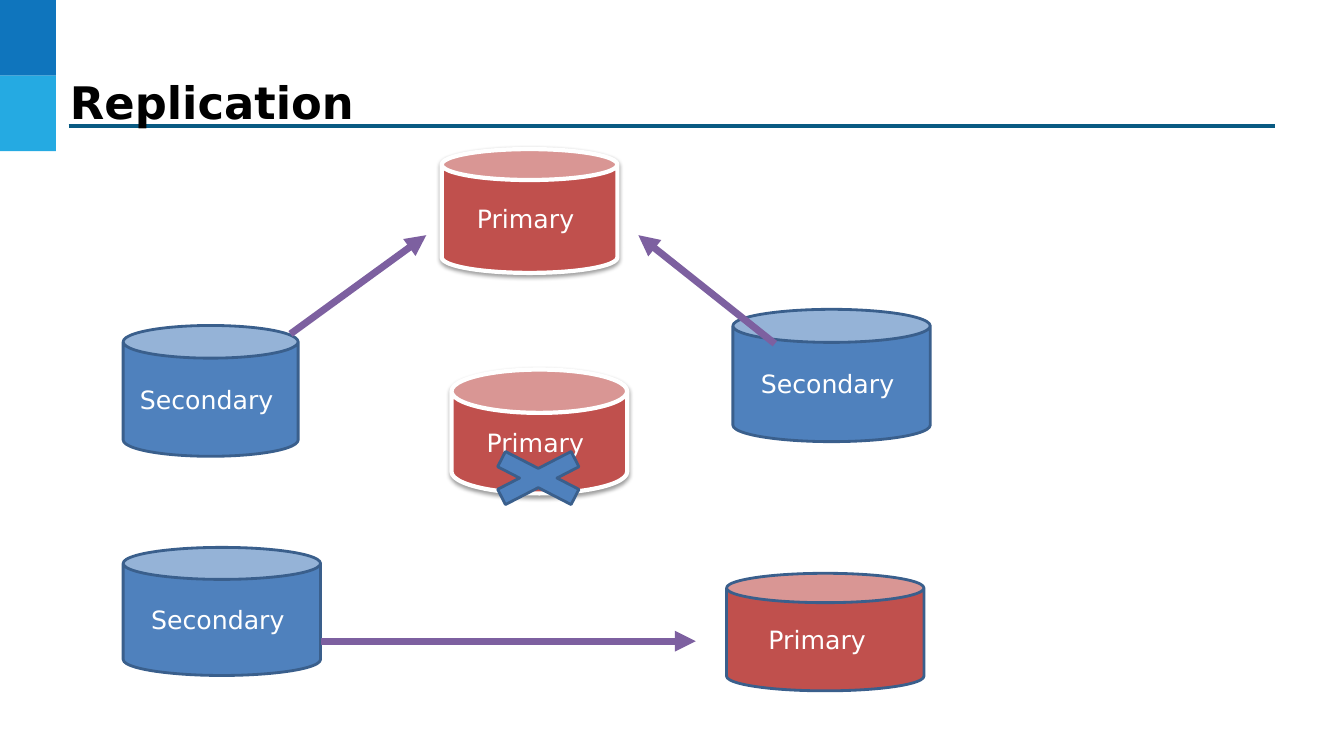
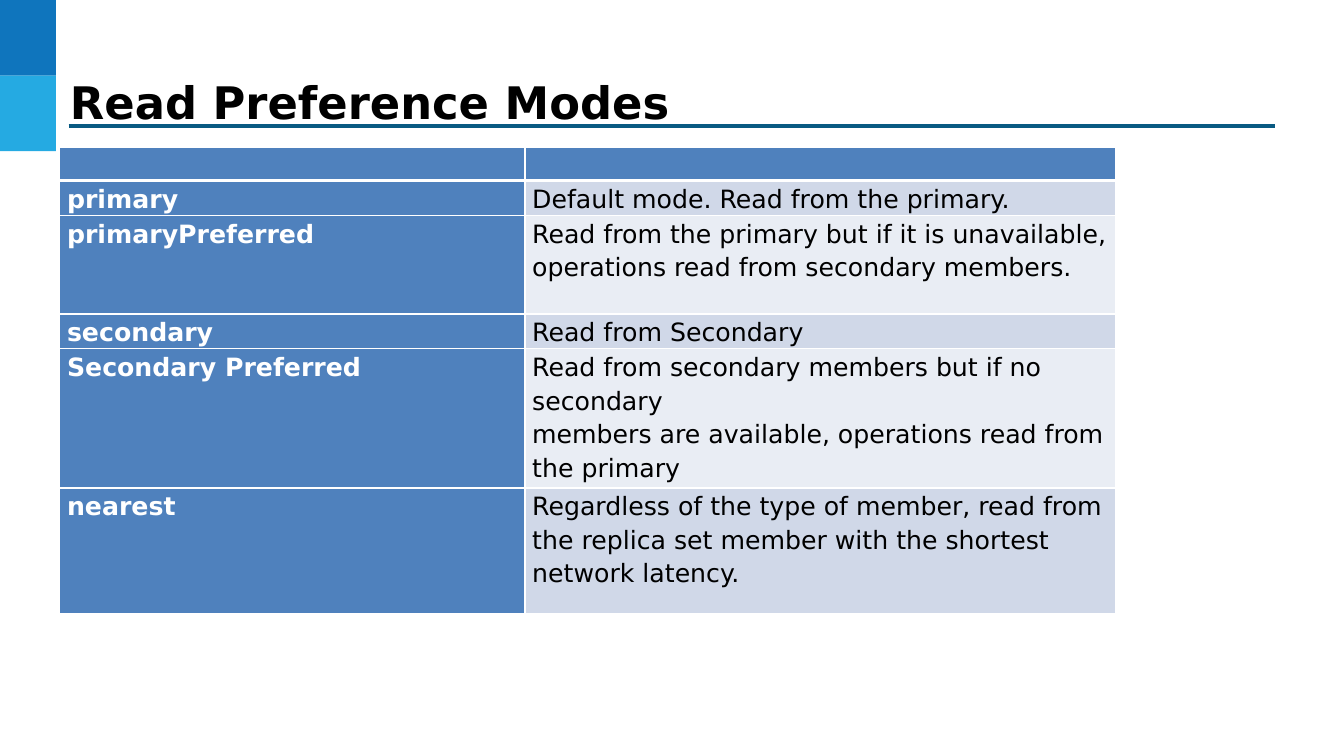
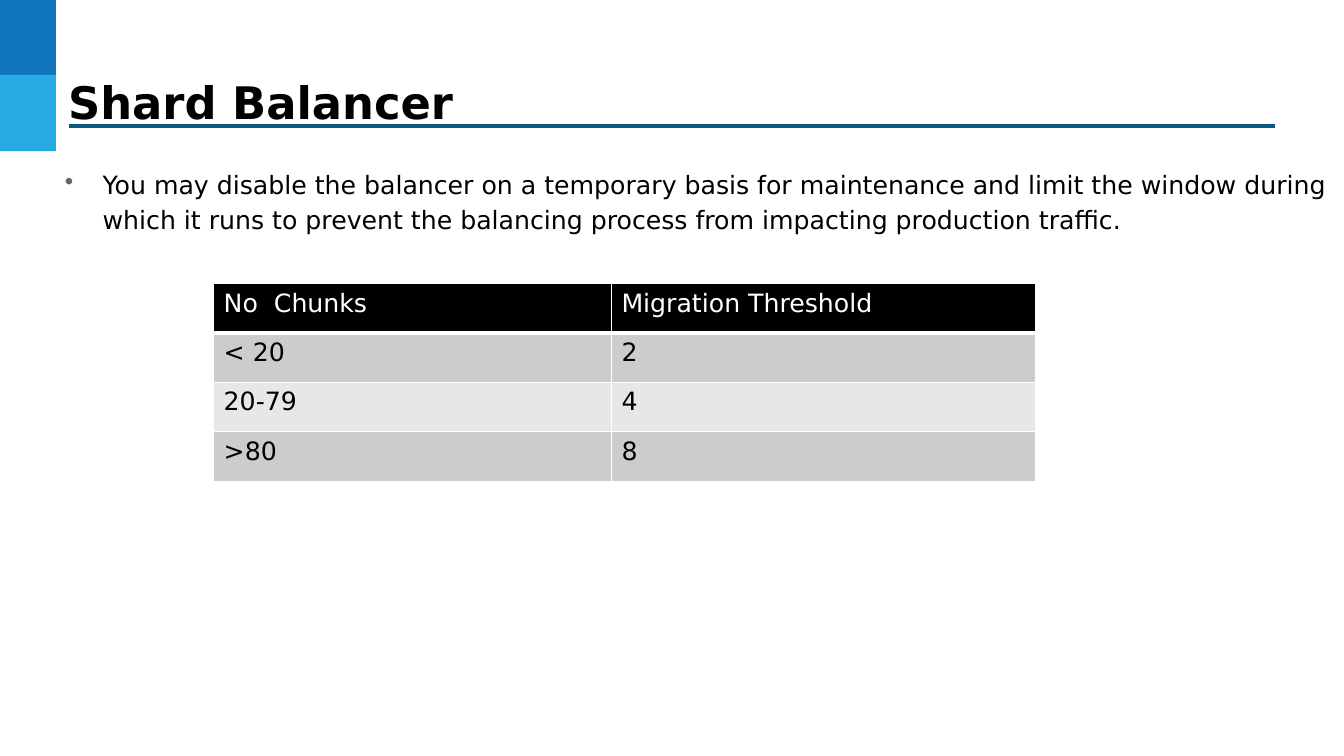
from lxml.etree import SubElement
from pptx import Presentation
from pptx.dml.color import RGBColor
from pptx.enum.shapes import MSO_CONNECTOR as Link, MSO_SHAPE as Shape
from pptx.enum.text import MSO_ANCHOR as Anchor, MSO_AUTO_SIZE as AutoSize, PP_ALIGN as Align
from pptx.oxml import parse_xml
from pptx.oxml.ns import nsdecls, qn
from pptx.util import Pt

FONT = "DejaVu Sans"
BLACK = RGBColor(0x00, 0x00, 0x00)
WHITE = RGBColor(0xFF, 0xFF, 0xFF)
DEEP_BLUE = RGBColor(0x0F, 0x75, 0xBD)
SKY = RGBColor(0x25, 0xAA, 0xE2)
RULE = RGBColor(0x09, 0x5A, 0x82)
BLUE = RGBColor(0x4F, 0x81, 0xBD)
NAVY = RGBColor(0x3A, 0x5F, 0x8C)
RED = RGBColor(0xC0, 0x50, 0x4D)
PURPLE = RGBColor(0x7D, 0x60, 0xA0)
BLUE_BANDS = (RGBColor(0xD0, 0xD8, 0xE8), RGBColor(0xE9, 0xED, 0xF4))
GREY_BANDS = (RGBColor(0xCC, 0xCC, 0xCC), RGBColor(0xE7, 0xE7, 0xE7))

# Replication: label, box, fill, raised look, rim depth, extra right inset
NODES = [
    ("Primary ", (315.5, 106.5, 125.5, 88.5), RED, True, 0.25, 0),
    ("Secondary ", (88, 232.5, 125, 93.5), BLUE, False, 0.25, 0),
    ("Secondary ", (523.5, 221, 141, 94.5), BLUE, False, 0.25, 0),
    ("Primary ", (322.5, 264, 125.5, 88.5), RED, True, 0.35, 0),
    ("Secondary ", (88, 391, 141, 91.5), BLUE, False, 0.25, 0),
    ("Primary ", (519, 409.5, 141, 84), RED, False, 0.25, 5.7),
]
FAILURE_CROSS = (334, 315.5, 101, 52)
ARROWS = [
    (207.5, 238.5, 304.5, 168),
    (553.5, 245.5, 456, 168),
    (229, 458, 497, 458),
]

# Read preference modes
MODES = [
    ("", ""),
    ("primary", "Default mode. Read from the primary."),
    ("primaryPreferred", "Read from the primary but if it is unavailable, "
     "operations read from secondary members."),
    ("secondary", "Read from Secondary"),
    ("Secondary Preferred", "Read from secondary members but if no secondary\n"
     "members are available, operations read from the primary"),
    ("nearest", "Regardless of the type of member, read from the replica set "
     "member with the shortest network latency."),
]
MODE_HEIGHTS = [23.8, 23.8, 70.5, 23.8, 93.6, 90]

# Shard balancer
BALANCER_NOTE = ("You may disable the balancer on a temporary basis for maintenance "
                 "and limit the window during which it runs to prevent the balancing "
                 "process from impacting production traffic.")
THRESHOLDS = [("No  Chunks", "Migration Threshold"), ("< 20", "2"), ("20-79", "4"), (">80", "8")]


def points(values):
    return [Pt(value) for value in values]


def add_text(para, text, color, size=18, bold=False):
    span = para.add_run()
    span.text = text
    font = span.font
    font.name, font.size, font.bold = FONT, Pt(size), bold
    font.color.rgb = color


def set_insets(target, left, top, right, bottom):
    target.margin_left, target.margin_top = Pt(left), Pt(top)
    target.margin_right, target.margin_bottom = Pt(right), Pt(bottom)


def add_box(page, kind, at, fill, line=None, width=2):
    box = page.shapes.add_shape(kind, *points(at))
    box.shadow.inherit = False
    box.fill.solid()
    box.fill.fore_color.rgb = fill
    if line is None:
        box.line.fill.background()
    else:
        box.line.color.rgb = line
        box.line.width = Pt(width)
    return box


def add_line(page, ends, color, width, arrow=False):
    line = page.shapes.add_connector(Link.STRAIGHT, *points(ends))
    line.line.color.rgb = color
    line.line.width = Pt(width)
    if arrow:
        SubElement(line.line._get_or_add_ln(), qn("a:tailEnd"), type="triangle")
    SubElement(line._element.spPr, qn("a:effectLst"))


def add_text_box(page, at):
    box = page.shapes.add_textbox(*points(at))
    box.text_frame.word_wrap = True
    return box.text_frame


def add_page(deck, title, left=40.5):
    page = deck.slides.add_slide(deck.slide_layouts[6])
    for row, color in enumerate((DEEP_BLUE, SKY)):
        add_box(page, Shape.RECTANGLE, (0, row * 54, 40, 54), color)
    add_line(page, (49, 90, 911, 90), RULE, 2.25)
    frame = add_text_box(page, (left, 24.5, 782, 55.5))
    set_insets(frame, 9.4, 9.4, 9.4, 9.4)
    para = frame.paragraphs[0]
    para.line_spacing = 1.5
    add_text(para, title, BLACK, 32, True)
    return page


def add_node(page, label, at, fill, raised, rim, nudge):
    line, width = (WHITE, 3) if raised else (NAVY, 2)
    can = add_box(page, Shape.CAN, at, fill, line, width)
    can.adjustments[0] = rim
    if raised:
        effects = can._element.spPr.find(qn("a:effectLst"))
        effects.append(parse_xml(
            f'<a:outerShdw {nsdecls("a")} blurRad="{Pt(3.1)}" dist="{Pt(1.6)}" '
            'dir="5400000" rotWithShape="0"><a:srgbClr val="000000">'
            '<a:alpha val="38000"/></a:srgbClr></a:outerShdw>'))
    frame = can.text_frame
    frame.word_wrap = True
    frame.vertical_anchor = Anchor.MIDDLE
    set_insets(frame, 7.2, 3.6, 7.2 + nudge, 3.6)
    para = frame.paragraphs[0]
    para.alignment = Align.CENTER
    add_text(para, label, WHITE)


def set_borders(cell, bottom):
    props = cell._tc.get_or_add_tcPr()
    sides = (("L", 1), ("R", 1), ("T", 1), ("B", bottom))
    for place, (side, width) in enumerate(sides):
        props.insert(place, parse_xml(
            f'<a:ln{side} {nsdecls("a")} w="{Pt(width)}"><a:solidFill>'
            f'<a:srgbClr val="{WHITE}"/></a:solidFill></a:ln{side}>'))


def add_grid(page, rows, left, top, widths, heights, head, bands,
             head_column=False, insets=(7.2, 3.6, 7.2, 3.6), spacing=None):
    frame = page.shapes.add_table(len(rows), len(widths),
                                  *points((left, top, sum(widths), sum(heights))))
    table = frame.table
    for column, width in zip(table.columns, widths):
        column.width = Pt(width)
    for r, (texts, height) in enumerate(zip(rows, heights)):
        table.rows[r].height = Pt(height)
        for c, text in enumerate(texts):
            cell = table.cell(r, c)
            side_head = head_column and c == 0
            is_head = r == 0 or side_head
            cell.fill.solid()
            cell.fill.fore_color.rgb = head if is_head else bands[(r - 1) % 2]
            set_borders(cell, 3 if r == 0 else 1)
            set_insets(cell, *insets)
            for number, words in enumerate(text.split("\n") if text else []):
                body = cell.text_frame
                para = body.add_paragraph() if number else body.paragraphs[0]
                para.line_spacing = spacing
                add_text(para, words, WHITE if is_head else BLACK, bold=side_head)


def build_replication(deck):
    page = add_page(deck, "Replication")
    for number, node in enumerate(NODES):
        add_node(page, *node)
        if number == 3:  # the failed primary
            add_box(page, Shape.MATH_MULTIPLY, FAILURE_CROSS, BLUE, NAVY)
    for ends in ARROWS:
        add_line(page, ends, PURPLE, 5, arrow=True)


def build_modes(deck):
    page = add_page(deck, "Read Preference Modes")
    add_grid(page, MODES, 42.7, 105.2, (332.3, 422), MODE_HEIGHTS, BLUE, BLUE_BANDS,
             head_column=True, insets=(5.2, 0, 5.2, 0), spacing=1.15)


def build_balancer(deck):
    page = add_page(deck, "Shard Balancer", left=39.2)
    frame = add_text_box(page, (39.2, 114.5, 940, 79))
    frame.auto_size = AutoSize.SHAPE_TO_FIT_TEXT
    para = frame.paragraphs[0]
    para.line_spacing = 1.15
    para.space_before = Pt(9.6)
    props = para._p.get_or_add_pPr()
    props.set("marL", str(Pt(27)))
    props.set("indent", str(-Pt(27)))
    color = SubElement(props, qn("a:buClr"))
    SubElement(color, qn("a:srgbClr"), val="666666")
    SubElement(props, qn("a:buChar"), char="•")
    add_text(para, BALANCER_NOTE, BLACK)
    add_grid(page, THRESHOLDS, 152.6, 202.6, (284.2, 303), [35.3] * 4, BLACK, GREY_BANDS)


def main():
    deck = Presentation()
    deck.slide_width, deck.slide_height = Pt(960), Pt(540)
    build_replication(deck)
    build_modes(deck)
    build_balancer(deck)
    deck.save("out.pptx")


if __name__ == "__main__":
    main()
